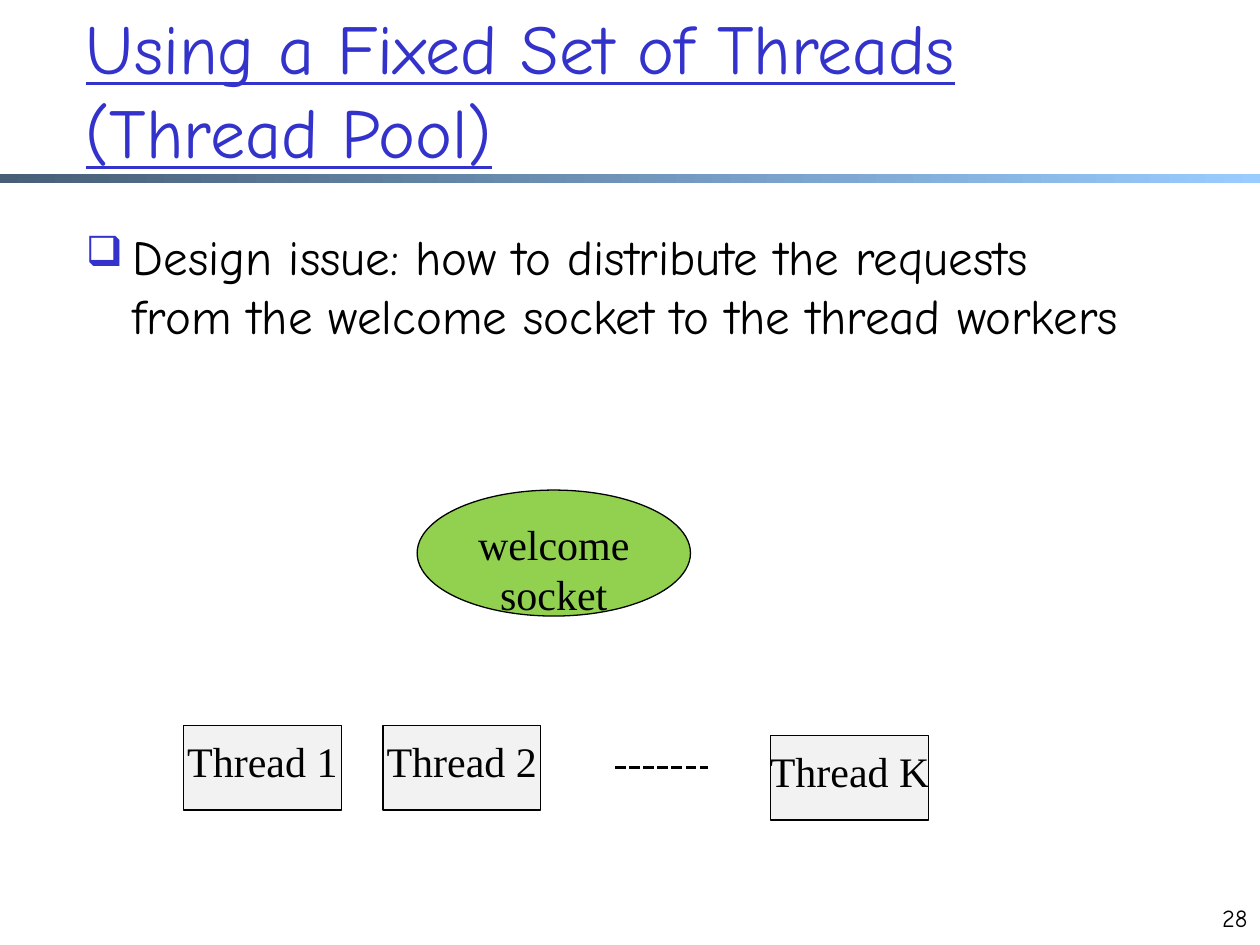
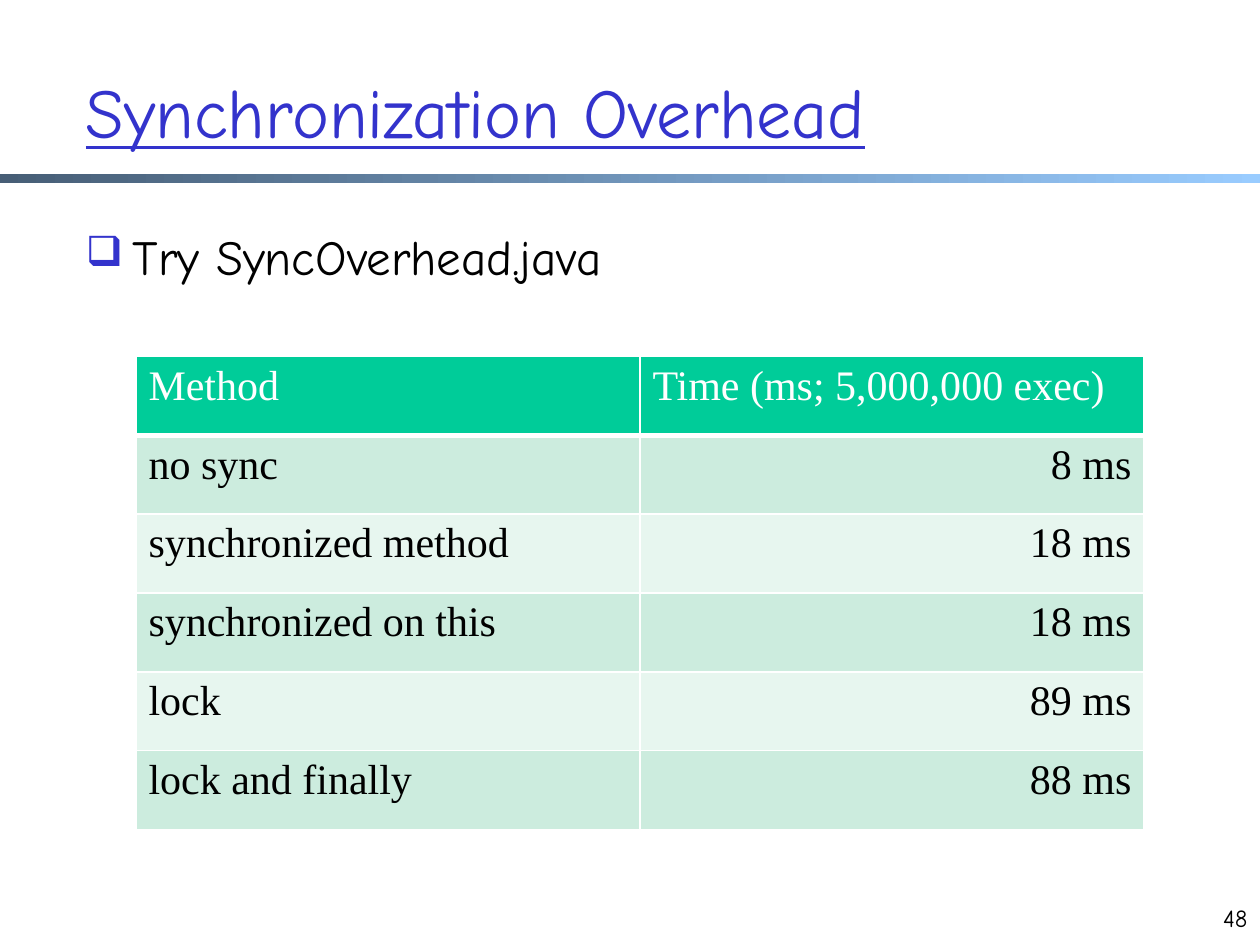
from collections import namedtuple

from lxml import etree
from pptx import Presentation
from pptx import util as u
from pptx.dml.color import RGBColor
from pptx.enum import dml, shapes, text
from pptx.oxml import ns

Box = namedtuple("Box", "left top width height")

BLACK = RGBColor(0x00, 0x00, 0x00)
WHITE = RGBColor(0xFF, 0xFF, 0xFF)
TITLE_BLUE = RGBColor(0x33, 0x33, 0xCC)
BAND_DARK = RGBColor(0x47, 0x5E, 0x76)
BAND_LIGHT = RGBColor(0x99, 0xCC, 0xFF)
SOCKET_GREEN = RGBColor(0x92, 0xD0, 0x50)
THREAD_GREY = RGBColor(0xF2, 0xF2, 0xF2)
HEADER_GREEN = RGBColor(0x00, 0xCC, 0x99)
ROW_FILLS = (RGBColor(0xCC, 0xEC, 0xDE), RGBColor(0xE7, 0xF6, 0xEF))

HEADING_FONT = "Comic Neue"
DIAGRAM_FONT = "Times New Roman"

PAGE = Box(0, 0, 25.4, 19.05)
BAND = Box(0, 3.5, PAGE.width, 0.2)
BODY = Box(1.48, 4.45, 21.59, 12.9)
NUMBER = Box(24.13, 18.08, 1.27, 0.95)
BULLET_INDENT = 0.95

OVERHEAD_ROWS = (
    ("Method", "Time (ms; 5,000,000 exec)"),
    ("no sync", "8 ms"),
    ("synchronized method", "18 ms"),
    ("synchronized on this", "18 ms"),
    ("lock", "89 ms"),
    ("lock and finally", "88 ms"),
)


def cm(box):
    return [u.Cm(length) for length in box]


def style(paragraph, name, size, color, align=text.PP_ALIGN.LEFT):
    paragraph.alignment = align
    font = paragraph.font
    font.name, font.size = name, u.Pt(size)
    font.color.rgb = color


def add_element(parent, tag, **attributes):
    return etree.SubElement(parent, ns.qn(tag), attributes)


def add_text(slide, box, words, anchor=text.MSO_ANCHOR.TOP):
    frame = slide.shapes.add_textbox(*cm(box)).text_frame
    frame.word_wrap = True
    frame.vertical_anchor = anchor
    frame.text = words
    return frame.paragraphs[0]


def add_band(slide, box):
    band = slide.shapes.add_shape(shapes.MSO_SHAPE.RECTANGLE, *cm(box))
    band.shadow.inherit = False
    band.line.fill.background()
    band.fill.gradient()
    band.fill.gradient_angle = 0
    for stop, color in zip(band.fill.gradient_stops, (BAND_DARK, BAND_LIGHT)):
        stop.color.rgb = color


def add_title(slide, box, words):
    title = add_text(slide, box, words, text.MSO_ANCHOR.MIDDLE)
    style(title, HEADING_FONT, 40, TITLE_BLUE)
    title.font.underline = True


def add_point(slide, box, words):
    point = add_text(slide, box, words)
    properties = point._p.get_or_add_pPr()
    indent = u.Cm(BULLET_INDENT)
    properties.set("marL", str(indent))
    properties.set("indent", str(-indent))
    bullet_color = add_element(properties, "a:buClr")
    add_element(bullet_color, "a:srgbClr", val=str(TITLE_BLUE))
    add_element(properties, "a:buSzPct", val="85000")
    add_element(properties, "a:buChar", char="❑")
    style(point, HEADING_FONT, 28, BLACK)


def add_page(deck, title, title_top, point, number):
    slide = deck.slides.add_slide(deck.slide_layouts[6])
    add_band(slide, BAND)
    add_title(slide, Box(BODY.left, title_top, BODY.width, 3.18), title)
    add_point(slide, BODY, point)
    style(add_text(slide, NUMBER, number), HEADING_FONT, 14, BLACK,
          text.PP_ALIGN.RIGHT)
    return slide


def add_node(slide, kind, box, label, fill):
    node = slide.shapes.add_shape(kind, *cm(box))
    node.shadow.inherit = False
    node.fill.solid()
    node.fill.fore_color.rgb = fill
    node.line.color.rgb = BLACK
    node.line.width = u.Pt(0.75)
    frame = node.text_frame
    frame.word_wrap = False
    frame.vertical_anchor = text.MSO_ANCHOR.TOP
    frame.margin_top = u.Cm(0.2)
    frame.text = label
    style(frame.paragraphs[0], DIAGRAM_FONT, 24, BLACK, text.PP_ALIGN.CENTER)


def add_thread_pool(slide, box):
    left, top = box.left, box.top
    add_node(slide, shapes.MSO_SHAPE.OVAL, Box(left + 4.71, top, 5.51, 2.54),
             "welcome\vsocket", SOCKET_GREEN)
    for name, x, y in (("1", 0, 4.75), ("2", 4.02, 4.75), ("K", 11.84, 4.95)):
        add_node(slide, shapes.MSO_SHAPE.RECTANGLE,
                 Box(left + x, top + y, 3.18, 1.7), f"Thread {name}", THREAD_GREY)
    omitted_y = top + 5.59
    omitted = slide.shapes.add_connector(
        shapes.MSO_CONNECTOR.STRAIGHT,
        *cm((left + 8.7, omitted_y, left + 10.57, omitted_y)))
    omitted.line.color.rgb = BLACK
    omitted.line.width = u.Pt(2)
    omitted.line.dash_style = dml.MSO_LINE.SQUARE_DOT
    add_element(omitted._element.spPr, "a:effectLst")


def set_borders(cell, bottom_width):
    properties = cell._tc.get_or_add_tcPr()
    widths = {"a:lnL": 1, "a:lnR": 1, "a:lnT": 1, "a:lnB": bottom_width}
    for tag, width in widths.items():
        border = add_element(properties, tag, w=str(u.Pt(width)))
        fill = add_element(border, "a:solidFill")
        add_element(fill, "a:srgbClr", val=str(WHITE))


def add_overhead_table(slide, box):
    table = slide.shapes.add_table(len(OVERHEAD_ROWS), 2, *cm(box)).table
    table.horz_banding = False
    for r, row in enumerate(OVERHEAD_ROWS):
        header = r == 0
        for c, words in enumerate(row):
            cell = table.cell(r, c)
            cell.text = words
            set_borders(cell, 3 if header else 1)
            cell.fill.solid()
            cell.fill.fore_color.rgb = HEADER_GREEN if header else ROW_FILLS[(r - 1) % 2]
            paragraph = cell.text_frame.paragraphs[0]
            is_time = c == 1 and not header
            style(paragraph, DIAGRAM_FONT, 24, WHITE if header else BLACK,
                  text.PP_ALIGN.RIGHT if is_time else text.PP_ALIGN.LEFT)
            paragraph.font.bold = False


def main():
    deck = Presentation()
    deck.slide_width, deck.slide_height = u.Cm(PAGE.width), u.Cm(PAGE.height)

    pool = add_page(
        deck, "Using a Fixed Set of Threads (Thread Pool)", 0.2,
        "Design issue: how to distribute the requests from the welcome socket "
        "to the thread workers", "28")
    add_thread_pool(pool, Box(3.7, 9.88, 15.02, 6.65))

    overhead = add_page(deck, "Synchronization Overhead", 0.64,
                        "Try SyncOverhead.java", "48")
    add_overhead_table(overhead, Box(2.74, 7.19, 20.32, 9.53))

    deck.save("out.pptx")


if __name__ == "__main__":
    main()
